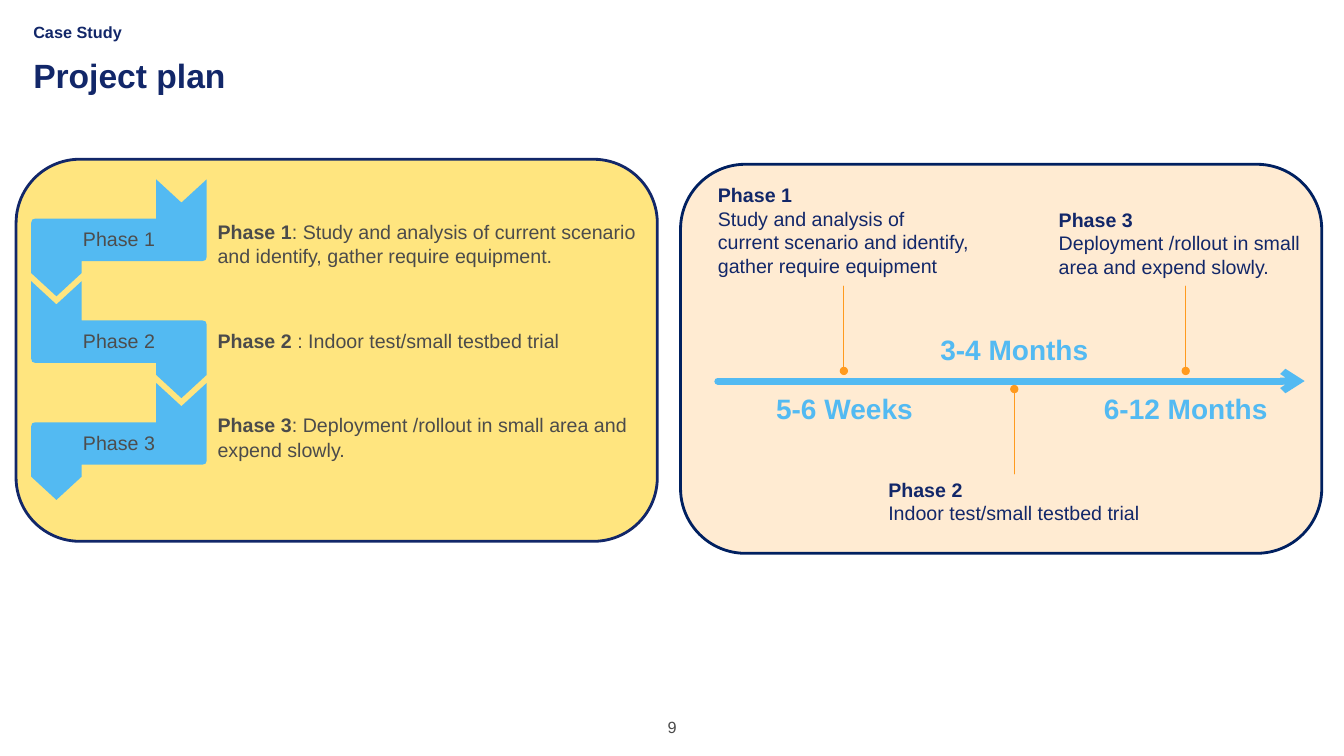
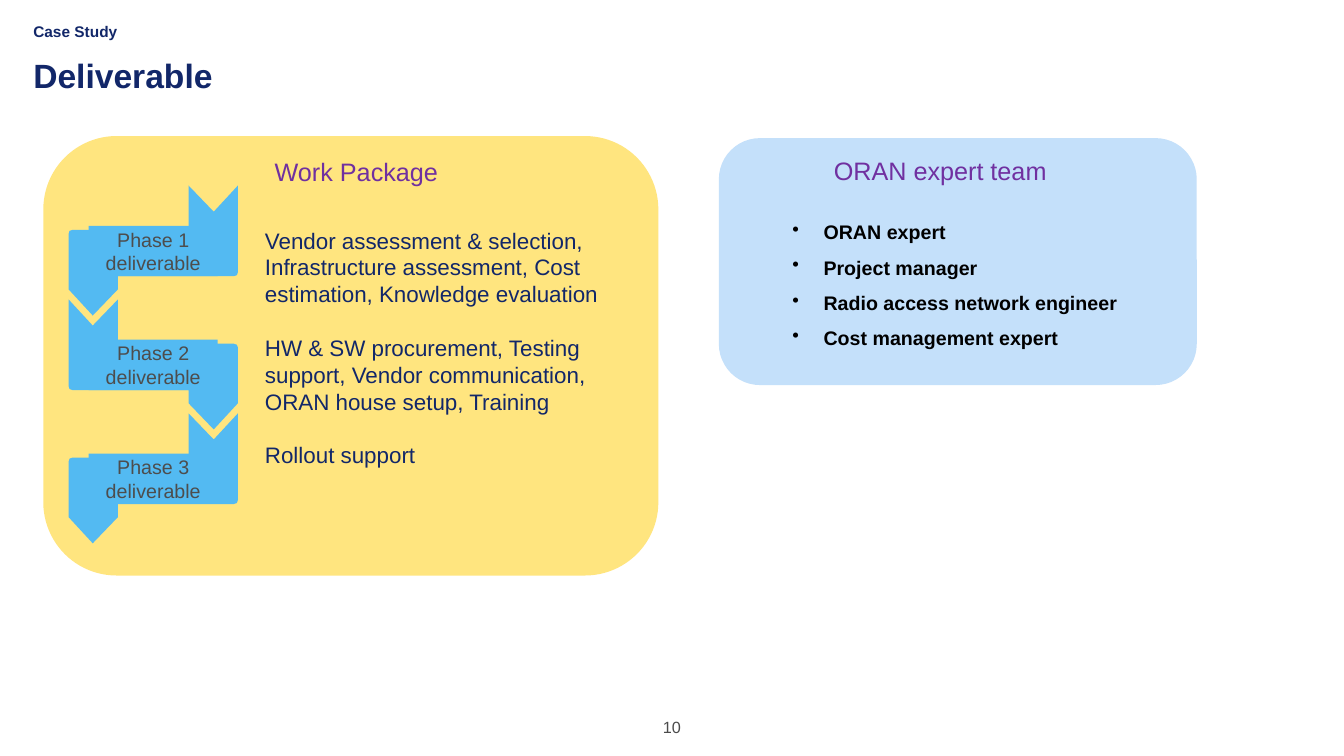
from lxml import etree
from pptx import Presentation
from pptx import util as u
from pptx.dml.color import RGBColor
from pptx.enum import shapes, text
from pptx.oxml.ns import qn

PX = 9144  # EMU: 100 px to the inch

COLORS = dict(
    navy="122769", deep="002060", grey="4B4B4B", label="4D4D4D", sky="53BAF2",
    orange="FF9A1E", yellow="FFE57F", peach="FFEBD2", ice="C4E0FA",
    purple="7030A0", black="000000",
)
ALIGN = dict(left=text.PP_ALIGN.LEFT, center=text.PP_ALIGN.CENTER)
ANCHOR = dict(
    top=text.MSO_ANCHOR.TOP, middle=text.MSO_ANCHOR.MIDDLE, bottom=text.MSO_ANCHOR.BOTTOM
)
PHASES = ["Phase 1", "Phase 2", "Phase 3"]


def px(*lengths):
    return [u.Emu(round(length * PX)) for length in lengths]


def rgb(name):
    return RGBColor.from_string(COLORS[name])


class Deck:
    font = "Arial"

    def __init__(self):
        self.prs = Presentation()
        self.prs.slide_width, self.prs.slide_height = px(1333, 750)
        self.slide = None

    def new_slide(self, title, number, kicker_size):
        self.slide = self.prs.slides.add_slide(self.prs.slide_layouts[6])
        self.text((619, 711, 95, 20), [str(number)], 11.6, "grey",
                  align="center", anchor="bottom")
        self.text((33, 59, 1268, 36), [title], 24, "navy", bold=True, spacing=0.9)
        self.text((33, 21, 1268, 21), ["Case Study"], kicker_size, "navy",
                  bold=True, spacing=1.04)

    def fill_frame(self, frame, paragraphs, size, color, bold=False, align="left",
                   anchor="top", inset=(0, 0), spacing=None, gap=0, bullet=False):
        """Put paragraphs in a frame; a tuple is a paragraph whose first run is bold."""
        frame.word_wrap = True
        frame.vertical_anchor = ANCHOR[anchor]
        frame.margin_left, frame.margin_top = px(*inset)
        frame.margin_right, frame.margin_bottom = px(*inset)
        for index, content in enumerate(paragraphs):
            paragraph = frame.add_paragraph() if index else frame.paragraphs[0]
            if isinstance(content, tuple):
                for part in content:
                    paragraph.add_run().text = part
            else:
                paragraph.text = content
            if bullet:
                self.bullet(paragraph)
            paragraph.alignment = ALIGN[align]
            if spacing:
                paragraph.line_spacing = spacing
            if index and gap:
                paragraph.space_before = u.Pt(gap)
            for place, run in enumerate(paragraph.runs):
                run.font.name = self.font
                run.font.size = u.Pt(size)
                run.font.color.rgb = rgb(color)
                run.font.bold = bold or (isinstance(content, tuple) and place == 0)

    def bullet(self, paragraph, indent=31):
        properties = paragraph._p.get_or_add_pPr()
        properties.set("marL", str(indent * PX))
        properties.set("indent", str(-indent * PX))
        etree.SubElement(properties, qn("a:buChar")).set("char", "•")

    def text(self, box, paragraphs, size, color, **style):
        frame = self.slide.shapes.add_textbox(*px(*box)).text_frame
        self.fill_frame(frame, paragraphs, size, color, **style)

    def paint(self, shape, fill, line=None, width=2):
        shape.shadow.inherit = False
        shape.fill.solid()
        shape.fill.fore_color.rgb = rgb(fill)
        if line:
            shape.line.color.rgb = rgb(line)
            shape.line.width = u.Pt(width)
        else:
            shape.line.fill.background()

    def panel(self, box, fill, line=None):
        shape = self.slide.shapes.add_shape(shapes.MSO_SHAPE.ROUNDED_RECTANGLE, *px(*box))
        self.paint(shape, fill, line)

    def label(self, box, content):
        shape = self.slide.shapes.add_shape(shapes.MSO_SHAPE.RECTANGLE, *px(*box))
        self.paint(shape, "sky")
        self.fill_frame(shape.text_frame, [content], 14, "label",
                        align="center", anchor="middle")

    def line(self, start, end, color, width, head=None, tail=None):
        connector = self.slide.shapes.add_connector(
            shapes.MSO_CONNECTOR.STRAIGHT, *px(*start, *end))
        connector.line.color.rgb = rgb(color)
        connector.line.width = u.Pt(width)
        properties = connector._element.spPr
        outline = properties.find(qn("a:ln"))
        outline.set("cap", "rnd")
        for tag, kind in (("a:headEnd", head), ("a:tailEnd", tail)):
            if kind:
                etree.SubElement(outline, qn(tag)).set("type", kind)
        etree.SubElement(properties, qn("a:effectLst"))

    def ribbon(self, left, top, width, height, mirrored):
        """Z-shaped arrow: notched arm at the top right, pointed arm at the bottom left."""
        arm, cut = round(width * 0.29), 4
        notch, upper, lower, shoulder = (round(height * f) for f in (0.2, 0.34, 0.7, 0.8))
        points = [
            (width, 0), (width - arm / 2, notch), (width - arm, 0), (width - arm, upper),
            (cut, upper), (1, upper + 1), (0, upper + cut),
            (0, shoulder), (arm / 2, height), (arm, shoulder), (arm, lower),
            (width - cut, lower), (width - 1, lower - 1), (width, lower - cut),
        ]
        if mirrored:
            points = [(width - x, y) for x, y in points]
        outline = [(left + x, top + y) for x, y in points]
        builder = self.slide.shapes.build_freeform(*outline[0], scale=PX)
        builder.add_line_segments(outline[1:], close=True)
        self.paint(builder.convert_to_shape(), "sky")

    def phase_chain(self, box, pitch, label_inset, label_height, labels):
        """Three linked ribbons; box is the first one, label_inset its label's offset."""
        left, top, width, height = box
        dx, dy = label_inset
        for index in range(len(labels)):
            self.ribbon(left, top + index * pitch, width, height, index % 2 == 1)
        for index, content in enumerate(labels):
            self.label((left + dx, top + dy + index * pitch, width - 2 * dx, label_height),
                       content)


def project_plan(deck):
    deck.new_slide("Project plan", 9, 11.6)
    deck.panel((675, 163, 636, 386), "peach", "deep")
    study, trial, rollout = (
        "Study and analysis of current scenario and identify, gather require equipment",
        "Indoor test/small testbed trial",
        "Deployment /rollout in small area and expend slowly.",
    )
    captions = [
        ((712, 181, 251, 94), study, "bottom"),
        ((881, 474, 261, 47), trial, "top"),
        ((1050, 205, 251, 71), rollout, "bottom"),
    ]
    for phase, (box, detail, anchor) in zip(PHASES, captions):
        deck.text(box, [(phase,), detail], 14, "navy", anchor=anchor)
    deck.line((712, 378), (1294, 378), "sky", 5, tail="arrow")
    durations = [
        ("5-6 Weeks", (759, 388, 157, 34)),
        ("3-4 Months", (922, 330, 168, 34)),
        ("6-12 Months", (1084, 388, 184, 34)),
    ]
    for duration, box in durations:
        deck.text(box, [duration], 20, "sky", bold=True, align="center")
    for x, near, far in ((837, 368, 284), (1006, 386, 470), (1176, 368, 284)):
        deck.line((x, near), (x, far), "orange", 0.75, head="oval")

    deck.panel((16, 158, 636, 379), "yellow", "navy")
    summary = [("Phase 1", f": {study}."), ("Phase 2 ", f": {trial}"),
               ("Phase 3", f": {rollout}")]
    deck.text((206, 212, 437, 309), summary, 14, "grey", inset=(10, 5),
              spacing=1.04, gap=43)
    deck.phase_chain((31, 178, 174, 116), 101, (21, 52), 14, PHASES)


def deliverable(deck):
    deck.new_slide("Deliverable", 10, 11)
    deck.panel((43, 135, 610, 436), "yellow")
    deck.text((253, 142, 201, 57), ["Work Package"], 18, "purple",
              align="center", anchor="middle")
    packages = [
        "Vendor assessment & selection, Infrastructure assessment, Cost estimation, "
        "Knowledge evaluation",
        "HW & SW procurement, Testing support, Vendor communication, "
        "ORAN house setup, Training",
        "Rollout support",
    ]
    deck.text((253, 220, 363, 252), packages, 16, "navy", inset=(10, 5), gap=19)
    deck.phase_chain((68, 184, 168, 129), 113, (20, 40), 50,
                     [f"{phase} deliverable" for phase in PHASES])

    deck.panel((713, 137, 474, 245), "ice")
    deck.text((808, 146, 249, 46), ["ORAN expert team"], 18, "purple",
              align="center", anchor="middle")
    team = ["ORAN expert", "Project manager", "Radio access network engineer",
            "Cost management expert"]
    deck.text((776, 202, 363, 147), team, 14, "black", bold=True, inset=(10, 5),
              spacing=1.5, bullet=True)


def main():
    deck = Deck()
    project_plan(deck)
    deliverable(deck)
    deck.prs.save("out.pptx")


if __name__ == "__main__":
    main()
